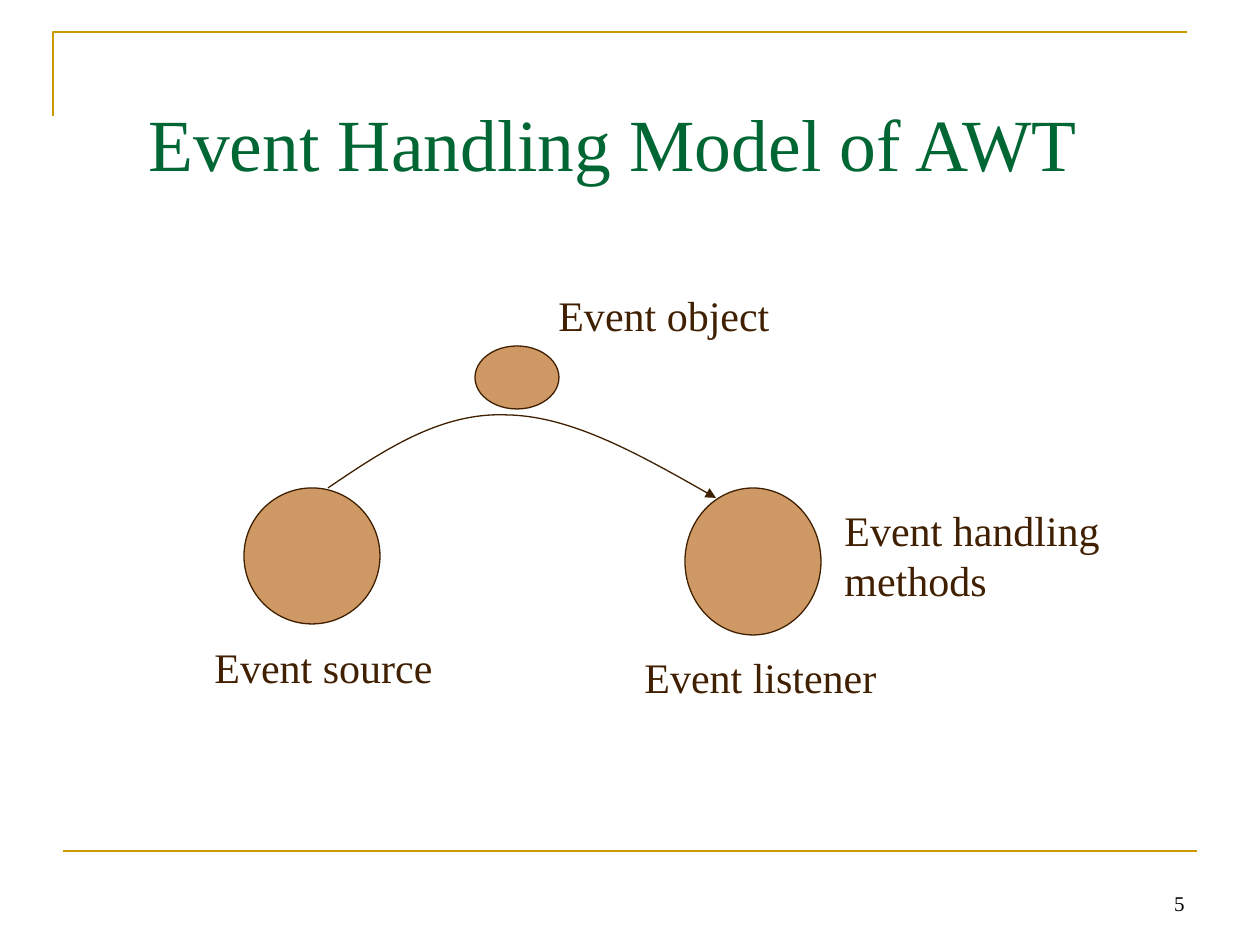
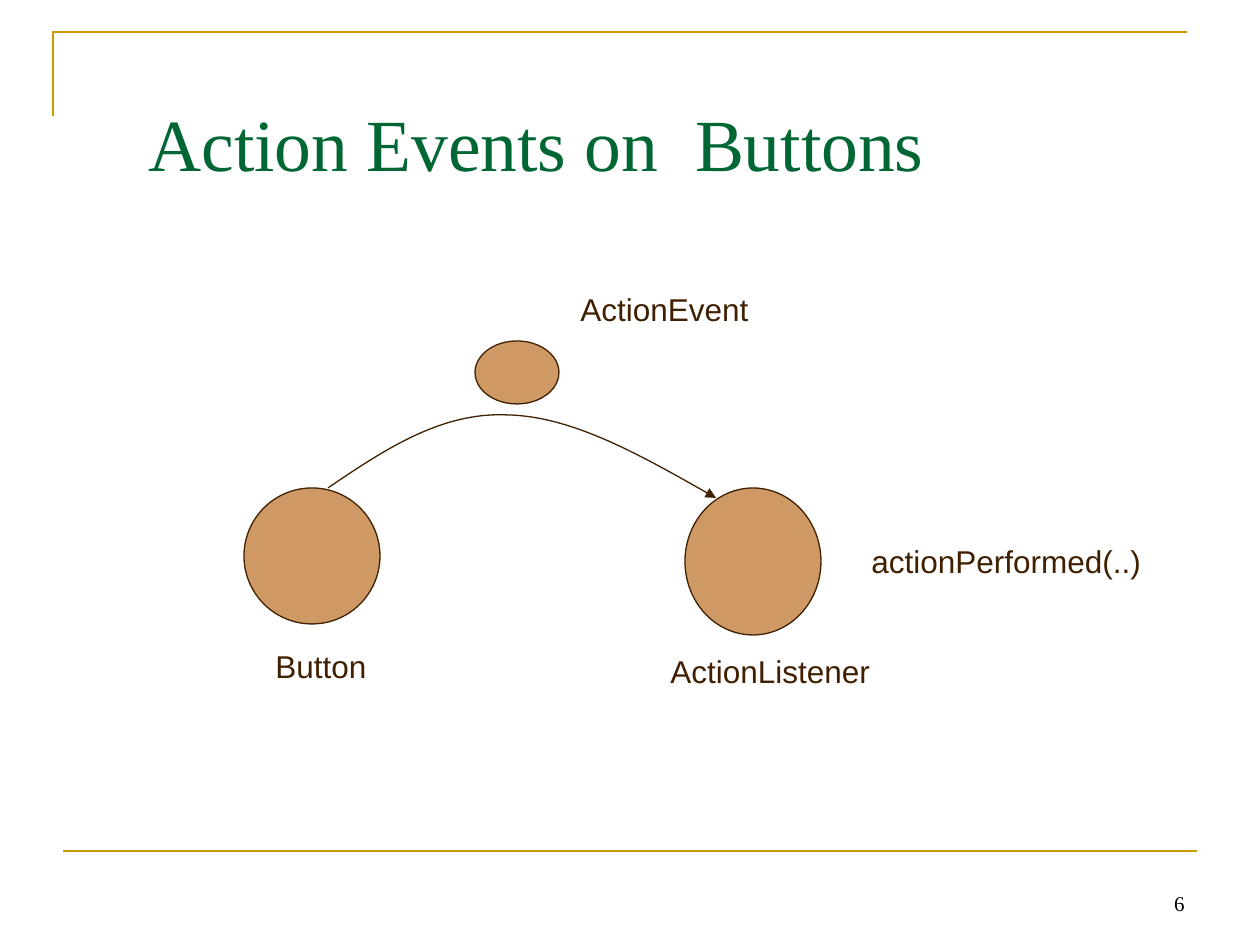
import pptx
import pptx.dml.color
import pptx.enum.shapes
import pptx.enum.text
import pptx.oxml.ns
import pptx.util
from lxml import etree

PX = 914400 / 126

GOLD = pptx.dml.color.RGBColor(0xCC, 0x99, 0x00)
GREEN = pptx.dml.color.RGBColor(0x00, 0x66, 0x33)
BROWN = pptx.dml.color.RGBColor(0x40, 0x20, 0x00)
TAN = pptx.dml.color.RGBColor(0xCE, 0x99, 0x64)
BLACK = pptx.dml.color.RGBColor(0x00, 0x00, 0x00)

SERIF = "Times New Roman"
SANS = "Arial"
LEFT = pptx.enum.text.PP_ALIGN.LEFT
RIGHT = pptx.enum.text.PP_ALIGN.RIGHT
TOP = pptx.enum.text.MSO_ANCHOR.TOP
MIDDLE = pptx.enum.text.MSO_ANCHOR.MIDDLE
BOTTOM = pptx.enum.text.MSO_ANCHOR.BOTTOM

# Labels are (text, left, top, width, height)
DIAGRAMS = [
    dict(title="Event Handling Model of AWT", number=5, font=SERIF, size=24,
         event_top=346,
         labels=[("Event source", 202, 635, 245, 63),
                 ("Event listener", 632, 645, 259, 63),
                 ("Event object", 546, 283, 238, 63),
                 ("Event handling\nmethods", 832, 498, 293, 113)]),
    dict(title="Action Events on  Buttons", number=6, font=SANS, size=18,
         event_top=341,
         labels=[("Button", 263, 641, 120, 50),
                 ("ActionListener", 658, 646, 230, 50),
                 ("ActionEvent", 568, 284, 197, 50),
                 ("actionPerformed(..)", 859, 536, 299, 50)]),
]

ARROW_START = (328, 488)
ARROW_CURVE = [(384, 450), (441, 412), (507, 415),
               (571, 416), (644, 457), (716, 498)]


def emu(*lengths):
    return [round(length * PX) for length in lengths]


def add_text(slide, text, box, font, size, color,
             align=LEFT, anchor=TOP, wrap=True):
    """Add a text box; without wrap it also grows to fit its text."""
    frame = slide.shapes.add_textbox(*emu(*box)).text_frame
    frame.word_wrap = wrap
    if not wrap:
        frame.auto_size = pptx.enum.text.MSO_AUTO_SIZE.SHAPE_TO_FIT_TEXT
    frame.vertical_anchor = anchor
    frame.text = text
    for paragraph in frame.paragraphs:
        paragraph.alignment = align
        for run in paragraph.runs:
            run.font.name = font
            run.font.size = pptx.util.Pt(size)
            run.font.color.rgb = color


deck = pptx.Presentation()
deck.slide_width, deck.slide_height = emu(1260, 945)

for diagram in DIAGRAMS:
    slide = deck.slides.add_slide(deck.slide_layouts[6])

    # Gold frame, title and slide number
    outline = slide.shapes.build_freeform(53, 116, scale=PX)
    outline.add_line_segments([(53, 32), (1187, 32)], close=False)
    corner = outline.convert_to_shape()
    corner.shadow.inherit = False
    corner.fill.background()
    footer_rule = slide.shapes.add_connector(
        pptx.enum.shapes.MSO_CONNECTOR.STRAIGHT, *emu(63, 851, 1197, 851))
    etree.SubElement(footer_rule.line._get_or_add_ln().getparent(),
                     pptx.oxml.ns.qn("a:effectLst"))
    for rule in (corner, footer_rule):
        rule.line.color.rgb = GOLD
        rule.line.width = pptx.util.Pt(1.5)
    add_text(slide, diagram["title"], (136, 63, 1071, 158), SERIF, 42, GREEN,
             anchor=MIDDLE)
    add_text(slide, str(diagram["number"]), (903, 860, 294, 62), SERIF, 12,
             BLACK, align=RIGHT, anchor=BOTTOM)

    # Source, listener and event
    for box in [(244, 488, 136, 136), (685, 488, 136, 147),
                (475, diagram["event_top"], 84, 63)]:
        node = slide.shapes.add_shape(pptx.enum.shapes.MSO_SHAPE.OVAL, *emu(*box))
        node.shadow.inherit = False
        node.fill.solid()
        node.fill.fore_color.rgb = TAN
        node.line.color.rgb = BROWN
        node.line.width = pptx.util.Pt(0.75)

    # Arrow: every three straight segments become one cubic curve
    outline = slide.shapes.build_freeform(*ARROW_START, scale=PX)
    outline.add_line_segments(ARROW_CURVE, close=False)
    arrow = outline.convert_to_shape()
    arrow.shadow.inherit = False
    arrow.fill.background()
    arrow.line.color.rgb = BROWN
    arrow.line.width = pptx.util.Pt(0.75)
    segments = list(arrow._element.iter(pptx.oxml.ns.qn("a:lnTo")))
    for first in range(0, len(segments), 3):
        curve = etree.SubElement(segments[first].getparent(),
                                 pptx.oxml.ns.qn("a:cubicBezTo"))
        for segment in segments[first:first + 3]:
            curve.append(segment[0])
            segment.getparent().remove(segment)
    etree.SubElement(arrow.line._get_or_add_ln(),
                     pptx.oxml.ns.qn("a:tailEnd"), type="triangle")

    for text, *box in diagram["labels"]:
        add_text(slide, text, box, diagram["font"], diagram["size"], BROWN,
                 wrap=False)

deck.save("out.pptx")
